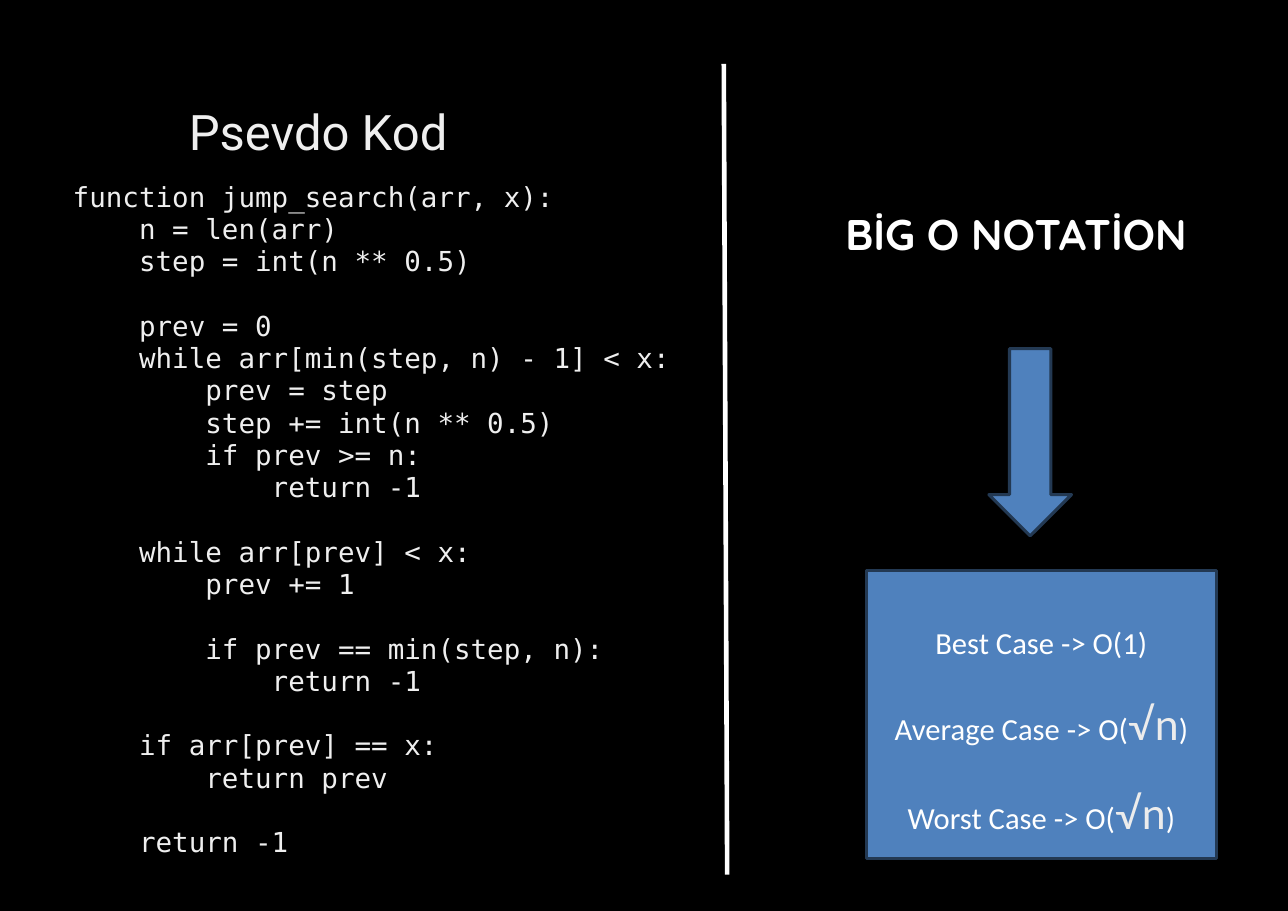
"""Build the jump search slide: pseudocode on the left, Big O notation on the right."""
from dataclasses import dataclass

from lxml import etree
from pptx import Presentation
from pptx.dml.color import RGBColor
from pptx.enum.shapes import MSO_CONNECTOR, MSO_SHAPE
from pptx.enum.text import PP_ALIGN
from pptx.oxml.ns import qn
from pptx.util import Pt

STRAIGHT = MSO_CONNECTOR.STRAIGHT
DOWN_ARROW = MSO_SHAPE.DOWN_ARROW
RECTANGLE = MSO_SHAPE.RECTANGLE
LEFT = PP_ALIGN.LEFT
CENTER = PP_ALIGN.CENTER
JUSTIFY = PP_ALIGN.JUSTIFY

COLORS = {
    "background": "000000",
    "white": "FFFFFF",
    "code": "EFEFEF",
    "root": "ECECEC",
    "fill": "4F81BD",
    "outline": "233953",
}
CODE_LEADING = 21.1
CASE_GAP = 24.4

CODE_BLOCKS = """function jump_search(arr, x):
    n = len(arr)
    step = int(n ** 0.5)

    prev = 0
    while arr[min(step, n) - 1] < x:
        prev = step
        step += int(n ** 0.5)
        if prev >= n:
            return -1

    while arr[prev] < x:
        prev += 1

        if prev == min(step, n):
            return -1

    if arr[prev] == x:
        return prev

    return -1""".split("\n\n")


@dataclass(frozen=True)
class Style:
    font: str
    size: float
    color: str
    bold: bool = False


@dataclass(frozen=True)
class Area:
    left: float
    top: float
    width: float
    height: float

    def lengths(self) -> tuple:
        return Pt(self.left), Pt(self.top), Pt(self.width), Pt(self.height)


@dataclass(frozen=True)
class Line:
    spans: tuple
    align: PP_ALIGN = LEFT
    leading: float = 0
    before: float = 0


@dataclass(frozen=True)
class TextBlock:
    area: Area
    lines: tuple
    margins: tuple = (0, 0)


@dataclass(frozen=True)
class Figure:
    kind: MSO_SHAPE
    area: Area


TITLE = Style("Roboto", 32, "code")
CODE = Style("DejaVu Sans Mono", 18, "code")
HEADING = Style("Quicksand", 28, "white", True)
CASE = Style("Calibri", 20, "white")
ROOT = Style("Lato", 28, "root")

CODE_LINES = tuple(
    Line(((text, CODE),), JUSTIFY, CODE_LEADING,
         CODE_LEADING if block_index and not line_index else 0)
    for block_index, block in enumerate(CODE_BLOCKS)
    for line_index, text in enumerate(block.split("\n"))
)
ROOT_SPANS = (("√n", ROOT), (")", CASE))
CASE_LINES = (
    Line((("Best Case -> O(1)", CASE),), CENTER),
    Line((("Average Case -> O(", CASE), *ROOT_SPANS), CENTER, before=CASE_GAP),
    Line((("Worst Case -> O(", CASE), *ROOT_SPANS), CENTER, before=CASE_GAP),
)
FIGURES = (
    Figure(DOWN_ARROW, Area(646.2, 227.9, 54, 122.4)),
    Figure(RECTANGLE, Area(566, 373, 229, 188)),
)
TEXT_BLOCKS = (
    TextBlock(Area(18, 41.8, 380, 54.7),
              (Line((("Psevdo Kod", TITLE),), CENTER, 63.1),)),
    TextBlock(Area(47.5, 118, 420, 445), CODE_LINES),
    TextBlock(Area(543, 126, 290, 60),
              (Line((("BİG O NOTATİON", HEADING),)),), (9.4, 9.4)),
    TextBlock(Area(561, 404, 239, 147.6), CASE_LINES, (7.2, 3.6)),
)


def color(name: str) -> RGBColor:
    return RGBColor.from_string(COLORS[name])


def draw_divider(page) -> None:
    divider = page.shapes.add_connector(
        STRAIGHT, Pt(473), Pt(41.8), Pt(475.2), Pt(571.7))
    divider.line.color.rgb = color("white")
    divider.line.width = Pt(3)
    properties = divider._element.spPr
    etree.SubElement(properties, qn("a:effectLst"))


def draw_figure(page, figure: Figure) -> None:
    shape = page.shapes.add_shape(figure.kind, *figure.area.lengths())
    shape.shadow.inherit = False
    shape.fill.solid()
    shape.fill.fore_color.rgb = color("fill")
    shape.line.color.rgb = color("outline")
    shape.line.width = Pt(2)


def draw_text(page, block: TextBlock) -> None:
    box = page.shapes.add_textbox(*block.area.lengths())
    frame = box.text_frame
    frame.word_wrap = True
    side, edge = block.margins
    frame.margin_left = frame.margin_right = Pt(side)
    frame.margin_top = frame.margin_bottom = Pt(edge)
    for index, line in enumerate(block.lines):
        para = frame.add_paragraph() if index else frame.paragraphs[0]
        para.alignment = line.align
        if line.leading:
            para.line_spacing = Pt(line.leading)
        if line.before:
            para.space_before = Pt(line.before)
        for text, style in line.spans:
            span = para.add_run()
            span.text = text
            span.font.name = style.font
            span.font.size = Pt(style.size)
            span.font.bold = style.bold
            span.font.color.rgb = color(style.color)


def main() -> None:
    deck = Presentation()
    deck.slide_width, deck.slide_height = Pt(841.68), Pt(595.44)
    page = deck.slides.add_slide(deck.slide_layouts[6])
    page.background.fill.solid()
    page.background.fill.fore_color.rgb = color("background")
    draw_divider(page)
    for figure in FIGURES:
        draw_figure(page, figure)
    for block in TEXT_BLOCKS:
        draw_text(page, block)
    deck.save("out.pptx")


if __name__ == "__main__":
    main()
